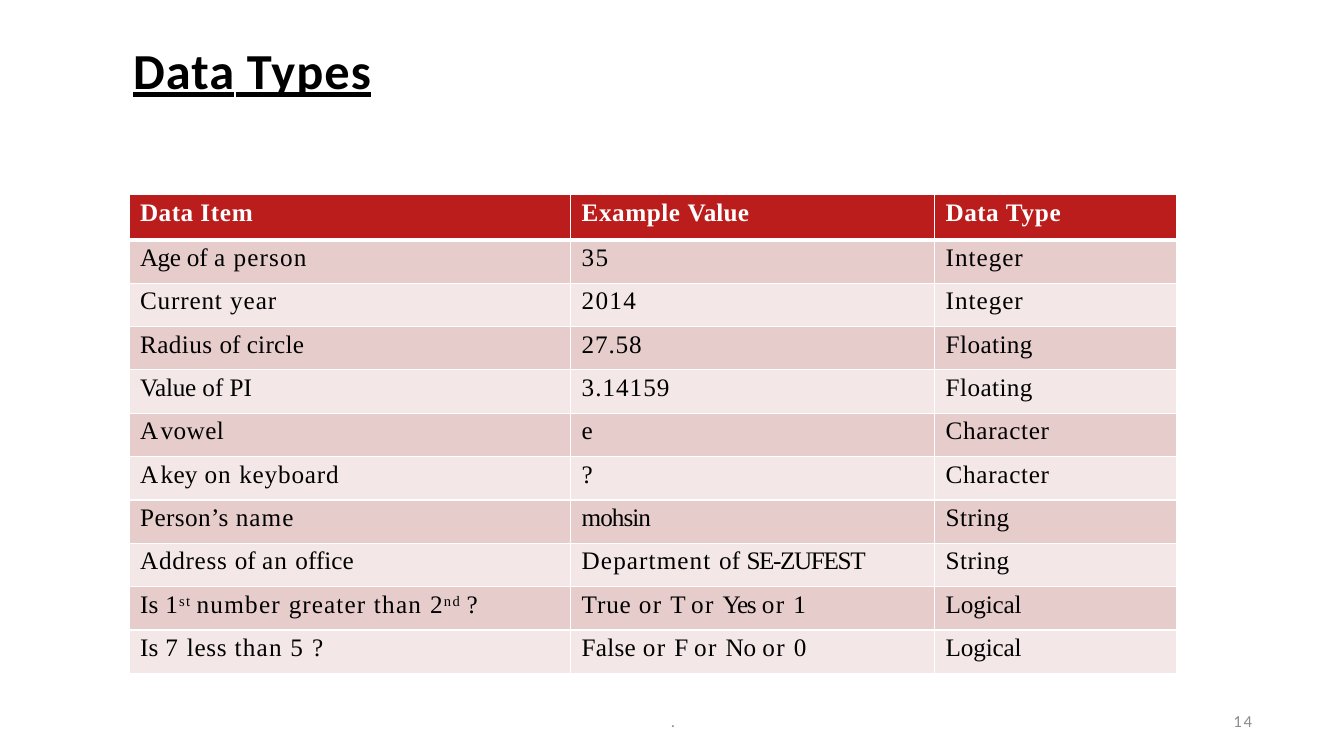
from lxml import etree
from pptx import Presentation
from pptx.dml.color import RGBColor
from pptx.enum import text as tx
from pptx.oxml.ns import qn
from pptx.util import Inches, Pt

# Content: each run is (text, letter spacing in points[, baseline shift in %])
TITLE = [("Data", 0.8), (" ", -1.9), ("Types", 0.8)]
PAGE = [("14", 1.3)]
FOOT = [(".", -0.5)]
INT = [("Integer", 0.7)]
FLOAT = [("Floating", 0.3)]
CHAR = [("Character", 0.5)]
STRING = [("String", 0.3)]
LOGIC = [("Logical", -0.1)]
ROWS = [
    ([("Data ", 0.3), ("Item", 0.5)], [("Example ", 0.4), ("Value", 0.1)],
     [("Data ", 0.3), ("Type", 0.5)]),
    ([("Age ", -0.4), ("of ", 0), ("a person", 0.8)], [("35", 0.9)], INT),
    ([("Current ", 0.6), ("year", 0.7)], [("2014", 0.9)], INT),
    ([("Radius ", 0.3), ("of ", 0), ("circle", 0.2)], [("27.58", 0.6)], FLOAT),
    ([("Value ", -0.2), ("of PI", 0)], [("3.14159", 0.7)], FLOAT),
    ([("A ", -1.8), ("vowel", 0.3)], [("e", 0)], CHAR),
    ([("A ", -1.8), ("key ", 0.2), ("on ", 0.8), ("keyboard", 0.6)],
     [("?", 0)], CHAR),
    ([("Person’s ", 0.3), ("name", 0.8)], [("mohsin", -0.7)], STRING),
    ([("Address ", 0.5), ("of ", 0), ("an ", 0.8), ("office", 0)],
     [("Department ", 0.8), ("of ", 0), ("SE-ZUFEST", -1)], STRING),
    ([("Is ", 0.2), ("1", 0.7), ("st ", 1, 25), ("number ", 0.9),
      ("greater ", 0.8), ("than ", 0.9), ("2", 0.8), ("nd ", 1.1, 25),
      ("?", -0.4)],
     [("True ", 0.6), ("or ", 1), ("T ", -0.3), ("or ", 1), ("Yes ", -0.9),
      ("or ", 1), ("1", 0.9)], LOGIC),
    ([("Is ", 0.2), ("7 ", 0.9), ("less ", 0.5), ("than 5 ", 0.9),
      ("?", -0.4)],
     [("False ", 0.2), ("or ", 1), ("F ", -0.4), ("or ", 1), ("No ", -0.1),
      ("or ", 1), ("0", 0.9)], LOGIC),
]
COLS = [4.38, 3.61, 2.4]
HEAD_H, ROW_H = 0.45, 0.43
HEAD, BANDS = "BB1C1C", ("F4E7E7", "E7CCCC")
WHITE, BLACK, GRAY = "FFFFFF", "000000", "8C8C8C"


def color(code):
    return RGBColor.from_string(code)


def write(par, runs, size, face, ink, bold=False, line=False, indent=0):
    par._p.get_or_add_pPr().set("marL", str(Inches(indent)))
    for word, gap, *shift in runs:
        run = par.add_run()
        run.text = word
        font = run.font
        font.size, font.name, font.bold = Pt(size), face, bold
        font.underline = line
        font.color.rgb = color(ink)
        props = run._r.get_or_add_rPr()
        props.set("spc", str(round(gap * 100)))
        if shift:
            props.set("baseline", str(shift[0] * 1000))


def label(slide, box, runs, size, ink, align, inset=0, **look):
    frame = slide.shapes.add_textbox(*map(Inches, box)).text_frame
    frame.word_wrap = True
    frame.vertical_anchor = tx.MSO_ANCHOR.MIDDLE
    frame.margin_left = frame.margin_right = Inches(inset)
    frame.margin_top = frame.margin_bottom = Inches(inset / 2)
    par = frame.paragraphs[0]
    par.alignment = align
    write(par, runs, size, "Calibri", ink, **look)
    return par


def border(cell, widths):
    props = cell._tc.get_or_add_tcPr()
    for i, (side, width) in enumerate(widths.items()):
        edge = etree.Element(qn("a:ln" + side), w=str(Pt(width)))
        fill = etree.SubElement(edge, qn("a:solidFill"))
        etree.SubElement(fill, qn("a:srgbClr"), val=WHITE)
        props.insert(i, edge)


def grid(slide):
    high = HEAD_H + ROW_H * (len(ROWS) - 1)
    table = slide.shapes.add_table(
        len(ROWS), len(COLS), Inches(1.28), Inches(1.93),
        Inches(sum(COLS)), Inches(high)).table
    for col, wide in zip(table.columns, COLS):
        col.width = Inches(wide)
    for r, row in enumerate(ROWS):
        table.rows[r].height = Inches(ROW_H if r else HEAD_H)
        for c, runs in enumerate(row):
            cell = table.cell(r, c)
            cell.margin_left = cell.margin_right = cell.margin_bottom = 0
            cell.margin_top = Inches(0.04)
            cell.fill.solid()
            cell.fill.fore_color.rgb = color(BANDS[r % 2] if r else HEAD)
            border(cell, {"L": 1, "R": 1, "T": 3 if r == 1 else 1,
                          "B": 1 if r else 3})
            write(cell.text_frame.paragraphs[0], runs, 18, "Times New Roman",
                  BLACK if r else WHITE, bold=r == 0, indent=0.11)


def main():
    deck = Presentation()
    deck.slide_width, deck.slide_height = Inches(13.33), Inches(7.5)
    slide = deck.slides.add_slide(deck.slide_layouts[6])

    # Title and table
    label(slide, (1.31, 0.38, 3.53, 0.62), TITLE, 36, BLACK,
          tx.PP_ALIGN.LEFT, bold=True, line=True, indent=0.01)
    grid(slide)

    # Page number and footer
    page = label(slide, (9.42, 6.95, 3, 0.4), PAGE, 12, GRAY,
                 tx.PP_ALIGN.RIGHT, indent=0.03)
    foot = label(slide, (4.42, 6.95, 4.5, 0.4), FOOT, 12, GRAY,
                 tx.PP_ALIGN.CENTER, inset=0.1, indent=0.01)
    page.line_spacing = foot.line_spacing = Pt(14.8)

    deck.save("out.pptx")


if __name__ == "__main__":
    main()
